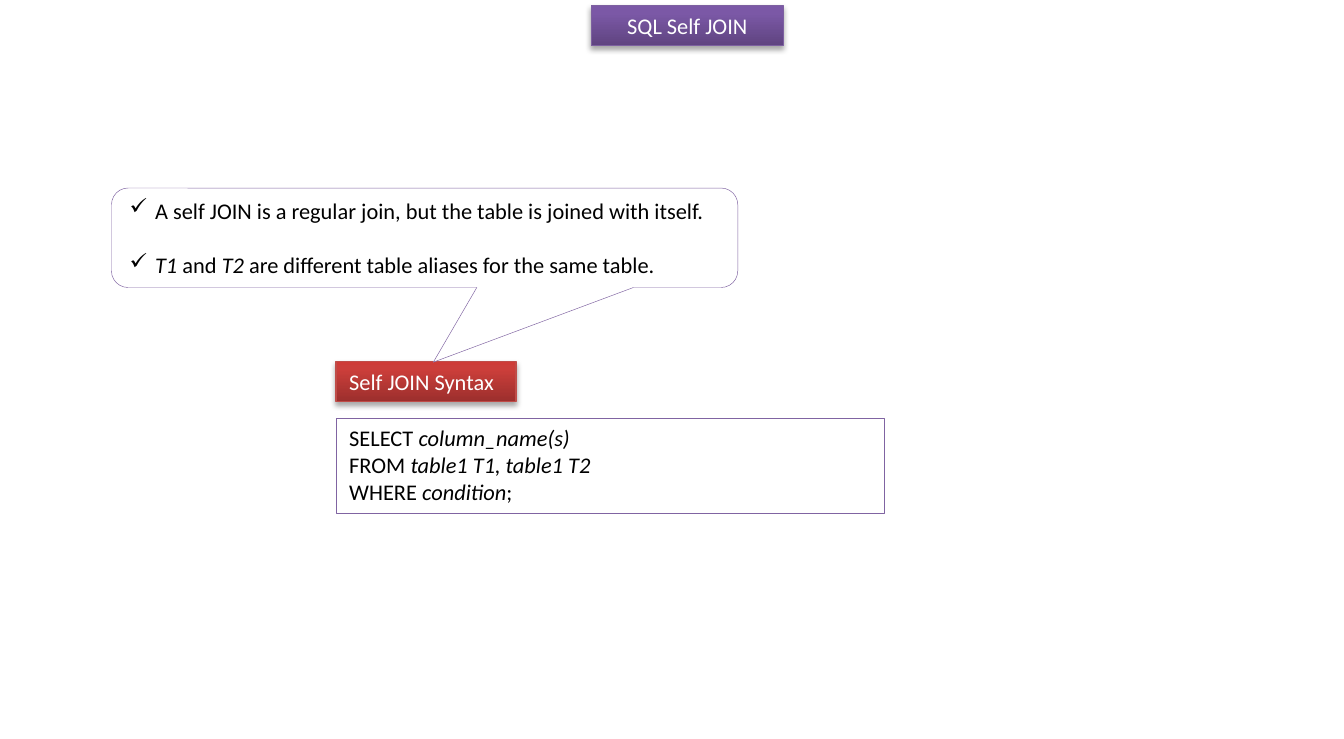
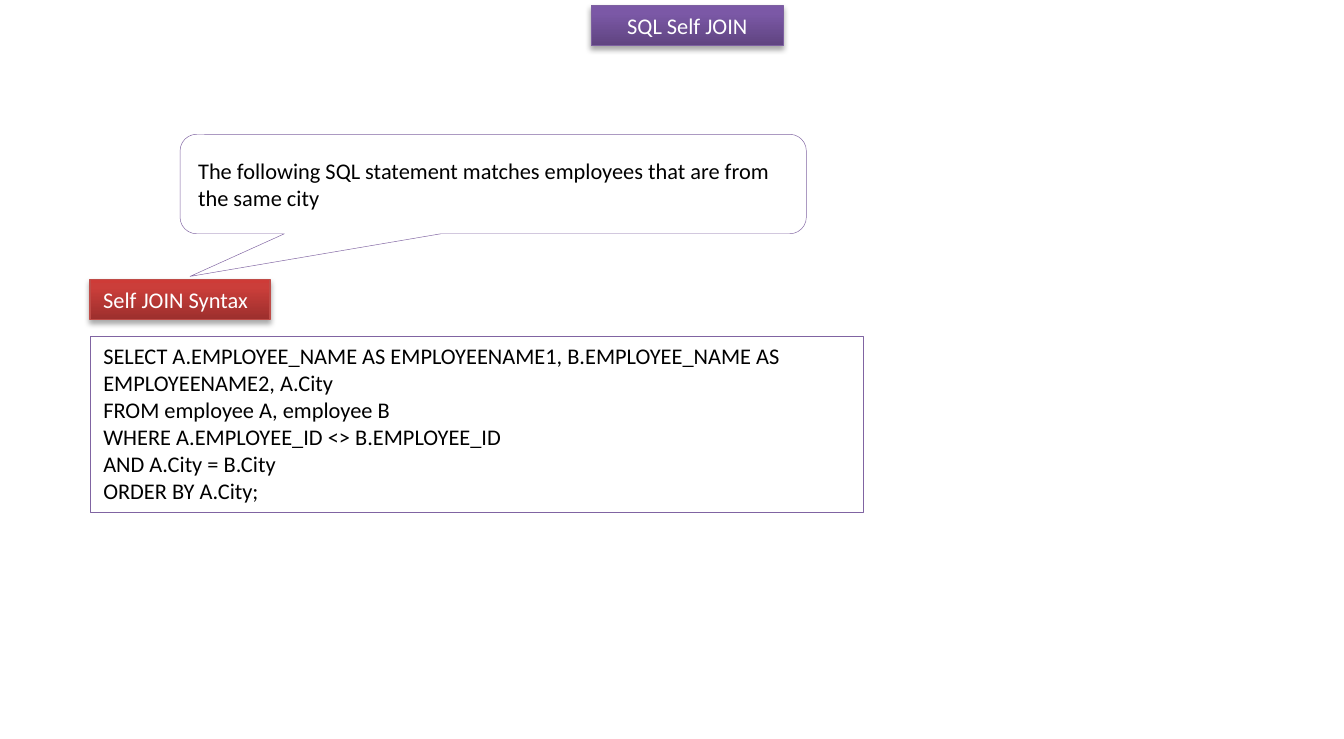
from dataclasses import dataclass

from lxml import etree
from pptx import Presentation
from pptx import util as u
from pptx.dml.color import RGBColor
from pptx.enum import shapes, text
from pptx.oxml import ns

FONT = "Calibri"
SIZE = u.Pt(12)
LINE = u.Pt(14.65)  # one line of text at SIZE
WHITE, BLACK, EDGE = "FFFFFF", "000000", "8064A2"
INDENT = u.Inches(0.19)
TAG_RISE = 0.42  # tag top above the code box
LEFT, MID = text.PP_ALIGN.LEFT, text.PP_ALIGN.CENTER


@dataclass(frozen=True)
class Theme:
    """Gradient stops (position in percent, colour) and border."""
    stops: tuple[tuple[int, str], ...]
    edge: str


@dataclass(frozen=True)
class Box:
    left: float
    top: float
    width: float
    height: float


@dataclass(frozen=True)
class Page:
    """Lines may mark italics with *asterisks*."""
    note_box: Box
    tip: tuple[float, float]
    notes: tuple[str, ...]
    ticks: bool
    code_box: Box
    code: tuple[str, ...]


PURPLE = Theme(((0, "5F4480"), (80, "7B58A6"), (100, "7C57A8")), "7D60A0")
RED = Theme(((0, "9C2F2D"), (80, "CB3E3A"), (100, "CE3B37")), "BF4C48")
TITLE_BOX = Box(4.4, 0.04, 1.43, 0.3)

PAGES = (
    Page(
        Box(0.83, 1.4, 4.66, 0.74), (0.014, 1.251),
        ("A self JOIN is a regular join, but the table is joined with itself.",
         "*T1* and *T2* are different table aliases for the same table."),
        True,
        Box(2.5, 3.11, 4.08, 0.71),
        ("SELECT *column_name(s)*",
         "FROM *table1 T1, table1 T2*",
         "WHERE *condition*;"),
    ),
    Page(
        Box(1.34, 1, 4.66, 0.74), (-0.484, 0.929),
        ("The following SQL statement matches employees that are from "
         "the same city",),
        False,
        Box(0.67, 2.5, 5.75, 1.31),
        ("SELECT A.EMPLOYEE_NAME AS EMPLOYEENAME1, B.EMPLOYEE_NAME AS "
         "EMPLOYEENAME2, A.City",
         "FROM employee A, employee B",
         "WHERE A.EMPLOYEE_ID <> B.EMPLOYEE_ID",
         "AND A.City = B.City",
         "ORDER BY A.City;"),
    ),
)


def rgb(code: str) -> RGBColor:
    return RGBColor.from_string(code)


def node(up, tag: str, **atts):
    """Add a DrawingML element below another one."""
    return etree.SubElement(up, ns.qn(f"a:{tag}"),
                            {key: str(val) for key, val in atts.items()})


def add_box(slide, kind, box: Box, edge: str, weight: float):
    shape = slide.shapes.add_shape(
        kind, *(u.Inches(v) for v in (box.left, box.top, box.width, box.height)))
    shape.shadow.inherit = False
    shape.fill.solid()
    shape.fill.fore_color.rgb = rgb(WHITE)
    shape.line.color.rgb = rgb(edge)
    shape.line.width = u.Pt(weight)
    return shape


def shade(shape, theme: Theme) -> None:
    """Give a box its gradient and a soft shadow below."""
    shape.fill.gradient()
    shape.fill.gradient_angle = 90
    props = shape._element.spPr
    stops = props.find(f".//{ns.qn('a:gsLst')}")
    for old in list(stops):
        stops.remove(old)
    for pos, code in theme.stops:
        node(node(stops, "gs", pos=pos * 1000), "srgbClr", val=code)
    drop = node(props.find(ns.qn("a:effectLst")), "outerShdw",
                blurRad=u.Pt(3.1), dist=u.Pt(1.8), dir=90 * 60000, rotWithShape=0)
    node(node(drop, "srgbClr", val=BLACK), "alpha", val=35000)


def write(shape, lines: tuple[str, ...], color: str = BLACK, align=LEFT,
          anchor=text.MSO_ANCHOR.TOP, ticks: bool = False) -> None:
    frame = shape.text_frame
    frame.word_wrap = True
    frame.vertical_anchor = anchor
    for num, line in enumerate(lines):
        para = frame.paragraphs[0] if num == 0 else frame.add_paragraph()
        para.alignment = align
        if ticks:
            if num:
                para.space_before = LINE
            props = para._p.get_or_add_pPr()
            props.set("marL", str(INDENT))
            props.set("indent", str(-INDENT))
            node(props, "buChar", char="✓")
        for part, words in enumerate(line.split("*")):
            if not words:
                continue
            run = para.add_run()
            run.text = words
            style = {"name": FONT, "size": SIZE, "italic": part % 2 == 1}
            for key, val in style.items():
                setattr(run.font, key, val)
            run.font.color.rgb = rgb(color)


def add_tag(slide, box: Box, label: str, theme: Theme, align=LEFT) -> None:
    tag = add_box(slide, shapes.MSO_SHAPE.RECTANGLE, box, theme.edge, 0.75)
    shade(tag, theme)
    write(tag, (label,), WHITE, align)


def add_code(slide, box: Box, lines: tuple[str, ...]) -> None:
    code = add_box(slide, shapes.MSO_SHAPE.RECTANGLE, box, EDGE, 0.25)
    write(code, lines)


def add_note(slide, page: Page) -> None:
    note = add_box(slide, shapes.MSO_SHAPE.ROUNDED_RECTANGULAR_CALLOUT,
                   page.note_box, EDGE, 0.25)
    for num, val in enumerate((*page.tip, 0.167)):
        note.adjustments[num] = val
    write(note, page.notes, anchor=text.MSO_ANCHOR.MIDDLE, ticks=page.ticks)


def main() -> None:
    deck = Presentation()
    deck.slide_width, deck.slide_height = u.Inches(10), u.Inches(5.5)
    for page in PAGES:
        slide = deck.slides.add_slide(deck.slide_layouts[6])
        # Title band
        add_tag(slide, TITLE_BOX, "SQL Self JOIN", PURPLE, MID)
        # Code with its tag above
        add_code(slide, page.code_box, page.code)
        spot = Box(page.code_box.left, page.code_box.top - TAG_RISE, 1.34, 0.3)
        add_tag(slide, spot, "Self JOIN Syntax", RED)
        # Callout pointing at the tag
        add_note(slide, page)
    deck.save("out.pptx")


if __name__ == "__main__":
    main()
